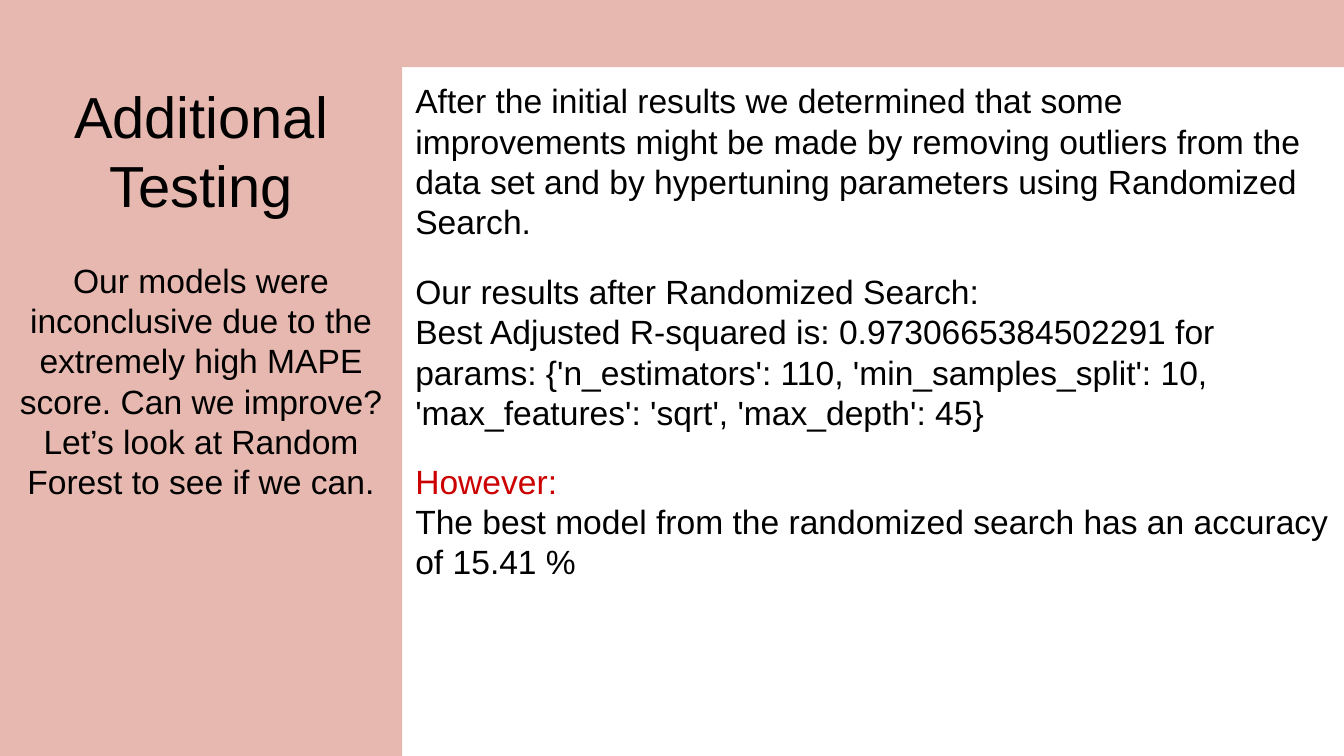
"""Build the Additional Testing slide."""
from pptx import Presentation
from pptx import util as u
from pptx.dml.color import RGBColor
from pptx.enum import shapes, text

PINK = RGBColor(0xE6, 0xB8, 0xAF)
BLACK = RGBColor(0, 0, 0)
RED = RGBColor(0xCC, 0, 0)

W, H = u.Cm(25.4), u.Cm(14.29)
BAND, SIDE = u.Cm(1.27), u.Cm(7.6)
FRAME = {
    "word_wrap": True,
    "vertical_anchor": text.MSO_ANCHOR.TOP,
    "margin_left": u.Cm(0.25),
    "margin_right": u.Cm(0.25),
    "margin_top": u.Cm(0.25),
    "margin_bottom": u.Cm(0.25),
}


def add_run(p, words, size=18, color=BLACK):
    r = p.add_run()
    r.text = words
    for name, value in {"name": "Arial", "size": u.Pt(size)}.items():
        setattr(r.font, name, value)
    r.font.color.rgb = color


def set_frame(tf, **extra):
    for name, value in {**FRAME, **extra}.items():
        setattr(tf, name, value)


prs = Presentation()
prs.slide_width, prs.slide_height = W, H
s = prs.slides.add_slide(prs.slide_layouts[6])

panels = []
for box in [(0, BAND, SIDE, H - BAND), (0, 0, W, BAND)]:
    sp = s.shapes.add_shape(shapes.MSO_SHAPE.RECTANGLE, *box)
    sp.shadow.inherit = False
    sp.fill.solid()
    sp.fill.fore_color.rgb = PINK
    sp.line.fill.background()
    panels.append(sp)

tf = panels[0].text_frame
set_frame(tf)
p = tf.paragraphs[0]
p.alignment = text.PP_ALIGN.CENTER
add_run(p, "Additional Testing", 31)
p = tf.add_paragraph()
p.alignment = text.PP_ALIGN.CENTER
p.space_before = u.Pt(21.6)
add_run(p, "Our models were inconclusive due to the extremely high MAPE score. "
           "Can we improve? Let’s look at Random Forest to see if we can.")

notes = [
    (1.27, 3.59, [
        ("After the initial results we determined that some improvements might be made by "
         "removing outliers from the data set and by hypertuning parameters using "
         "Randomized Search.", BLACK)]),
    (4.87, 3.59, [
        ("Our results after Randomized Search:", BLACK),
        ("Best Adjusted R-squared is: 0.9730665384502291 for params: {'n_estimators': 110, "
         "'min_samples_split': 10, 'max_features': 'sqrt', 'max_depth': 45}", BLACK)]),
    (8.46, 2.82, [
        ("However:", RED),
        ("The best model from the randomized search has an accuracy of 15.41 %", BLACK)]),
]
for top, height, lines in notes:
    sp = s.shapes.add_textbox(SIDE, u.Cm(top), W - SIDE, u.Cm(height))
    tf = sp.text_frame
    set_frame(tf, auto_size=text.MSO_AUTO_SIZE.SHAPE_TO_FIT_TEXT)
    p = tf.paragraphs[0]
    for i, (words, color) in enumerate(lines):
        if i:
            p.add_line_break()
        add_run(p, words, color=color)

prs.save("out.pptx")
